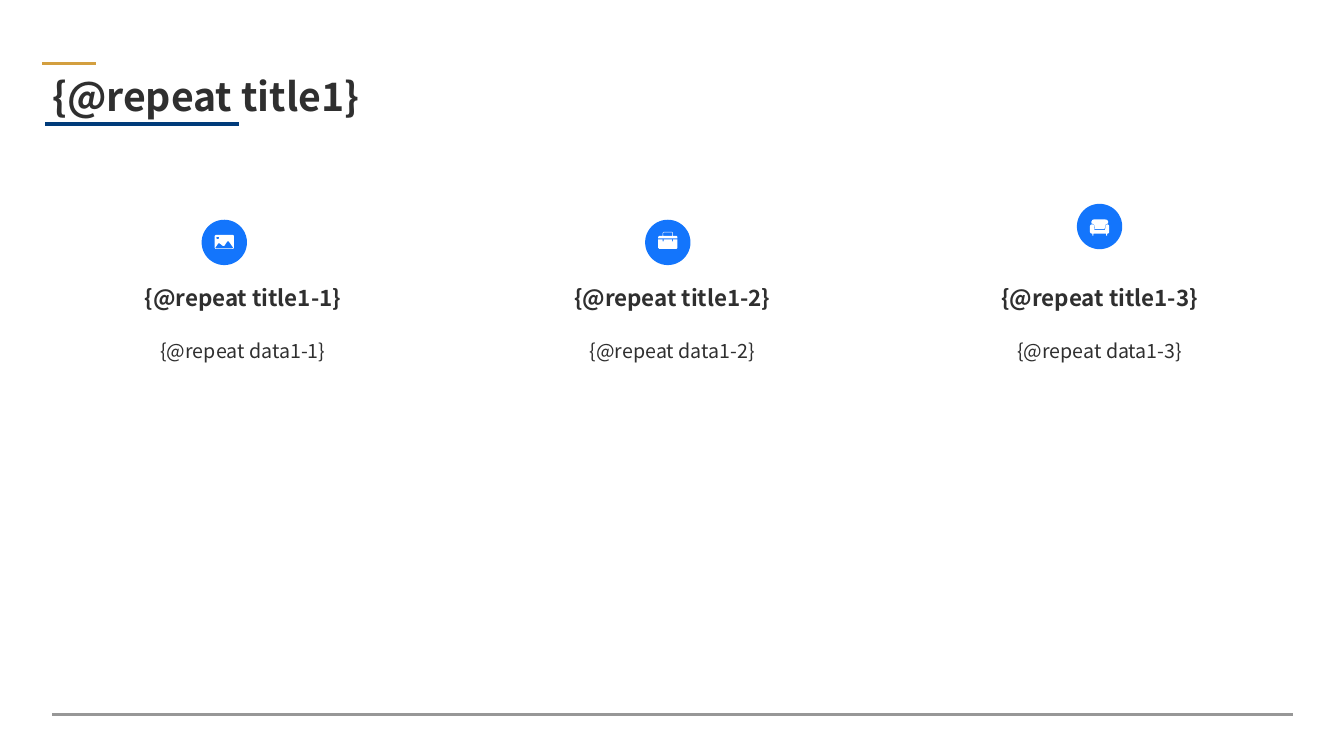
from dataclasses import dataclass

from lxml import etree
from pptx import Presentation
from pptx.dml.color import RGBColor
from pptx.enum import shapes, text
from pptx.oxml.ns import qn
from pptx.util import Pt


@dataclass(frozen=True)
class Theme:
    """Colours, font and type sizes of the slide."""
    font: str = "Noto Sans CJK SC"
    ink: str = "2F2F2F"
    gold: str = "D39F3F"
    navy: str = "003B7A"
    grey: str = "979797"
    blue: str = "1375FC"
    white: str = "FFFFFF"
    title: int = 28
    heading: int = 16
    body: int = 14


THEME = Theme()
BADGE = 32.4
GRID = 90
COLUMN_WIDTH = 243.36

PHOTO = [
    [(28, 30), (62, 30), (64, 32), (64, 56), (62, 58), (28, 58), (26, 56), (26, 32)],
    [(54, 43), (51, 43), (45, 52), (42, 52), (36, 47), (33, 47), (27, 56), (29, 57),
     (61, 57), (63, 56)],
    [(32, 34), (30, 34), (29, 36), (30, 38), (32, 39), (34, 38), (35, 36), (34, 34)],
]
BRIEFCASE = [
    [(35, 39), (35, 43), (37, 43), (37, 39), (53, 39), (53, 43), (55, 43), (55, 39),
     (64, 39), (64, 56), (62, 58), (28, 58), (26, 56), (26, 39)],
    [(53, 24), (55, 26), (55, 32), (62, 32), (64, 34), (64, 37), (26, 37), (26, 34),
     (28, 32), (35, 32), (35, 26), (37, 24)],
    [(53, 25), (37, 25), (36, 26), (36, 32), (54, 32), (54, 26)],
]
SOFA = [
    [(61, 41), (63, 42), (64, 44), (64, 57), (62, 59), (60, 59), (60, 63), (58, 63),
     (58, 59), (33, 59), (33, 63), (31, 63), (31, 59), (29, 59), (27, 58), (26, 56),
     (26, 44), (27, 42), (29, 41), (32, 41), (34, 43), (35, 52), (56, 52), (57, 43),
     (59, 41)],
    [(56, 31), (60, 32), (62, 35), (62, 39), (58, 40), (56, 43), (55, 50), (36, 50),
     (35, 43), (33, 40), (29, 39), (29, 35), (31, 32), (34, 31)],
]

COLUMNS = [
    (51.84, 144, 156.96, 98.64, PHOTO),
    (358.56, 460.8, 156.96, 32.4, BRIEFCASE),
    (663.84, 769.2, 145.6, 32.4, SOFA),
]


def rgb(value):
    """Return the colour for a hex string."""
    return RGBColor.from_string(value)


def style(p, size, bold=False):
    """Set the font of a paragraph."""
    p.font.name = THEME.font
    p.font.size = Pt(size)
    p.font.bold = bold
    p.font.color.rgb = rgb(THEME.ink)


def paint(sp, colour):
    """Give a shape a plain fill without line or shadow."""
    sp.shadow.inherit = False
    sp.fill.solid()
    sp.fill.fore_color.rgb = rgb(colour)
    sp.line.fill.background()


def add_rule(s, left, top, width, colour, weight):
    """Draw a horizontal rule."""
    line = s.shapes.add_connector(shapes.MSO_CONNECTOR.STRAIGHT, Pt(left), Pt(top),
                                  Pt(left + width), Pt(top))
    line.line.color.rgb = rgb(colour)
    line.line.width = Pt(weight)
    etree.SubElement(line._element.spPr, qn("a:effectLst"))


def add_text(s, left, top, width, height, words, size):
    """Add a centred, wrapping text box and return its frame."""
    tf = s.shapes.add_textbox(Pt(left), Pt(top), Pt(width), Pt(height)).text_frame
    tf.word_wrap = True
    tf.auto_size = text.MSO_AUTO_SIZE.NONE
    p = tf.paragraphs[0]
    p.text = words
    p.alignment = text.PP_ALIGN.CENTER
    style(p, size)
    return tf


def add_header(s, left, top, width, height):
    """Place the title with the rules above and below it."""
    title = s.shapes.title
    title.left, title.top, title.width, title.height = map(Pt, (left, top, width, height))
    tf = title.text_frame
    tf.word_wrap = True
    tf.auto_size = text.MSO_AUTO_SIZE.NONE
    tf.vertical_anchor = text.MSO_ANCHOR.BOTTOM
    p = tf.paragraphs[0]
    p.text = "{@repeat title1}"
    p.alignment = text.PP_ALIGN.LEFT
    style(p, THEME.title, True)
    add_rule(s, left, top + 27.2, 38.4, THEME.gold, 2.25)
    add_rule(s, left + 2.2, top + height, 138.2, THEME.navy, 2.25)


def add_badge(s, left, top, contours):
    """Draw a round badge with a white icon on its grid."""
    disc = s.shapes.add_shape(shapes.MSO_SHAPE.OVAL, Pt(left), Pt(top), Pt(BADGE), Pt(BADGE))
    paint(disc, THEME.blue)
    first, *others = contours
    pen = s.shapes.build_freeform(*first[0], scale=Pt(BADGE) / GRID)
    pen.add_line_segments(first[1:], close=True)
    for contour in others:
        pen.move_to(*contour[0])
        pen.add_line_segments(contour[1:], close=True)
    paint(pen.convert_to_shape(Pt(left), Pt(top)), THEME.white)


def add_column(s, left, top, width, body_height, number):
    """Place the heading and body text of one column."""
    heading = add_text(s, left, top, width, 26.64, f"{{@repeat title1-{number}}}",
                       THEME.heading)
    heading.paragraphs[0].font.bold = True
    heading.vertical_anchor = text.MSO_ANCHOR.BOTTOM
    body = add_text(s, left, top + 31.68, width, body_height,
                    f"{{@repeat data1-{number}}}", THEME.body)
    body.paragraphs[0].line_spacing = 1.5


def main():
    """Build and save the slide."""
    prs = Presentation()
    prs.slide_width, prs.slide_height = Pt(960), Pt(540)
    s = prs.slides.add_slide(prs.slide_layouts[5])
    add_header(s, 30.24, 18, 855.36, 70.56)
    add_rule(s, 37.44, 510.48, 886.32, THEME.grey, 2)
    for number, (left, badge_left, badge_top, body_height, icon) in enumerate(COLUMNS, 1):
        add_column(s, left, 198.72, COLUMN_WIDTH, body_height, number)
        add_badge(s, badge_left, badge_top, icon)
    prs.save("out.pptx")


if __name__ == "__main__":
    main()
